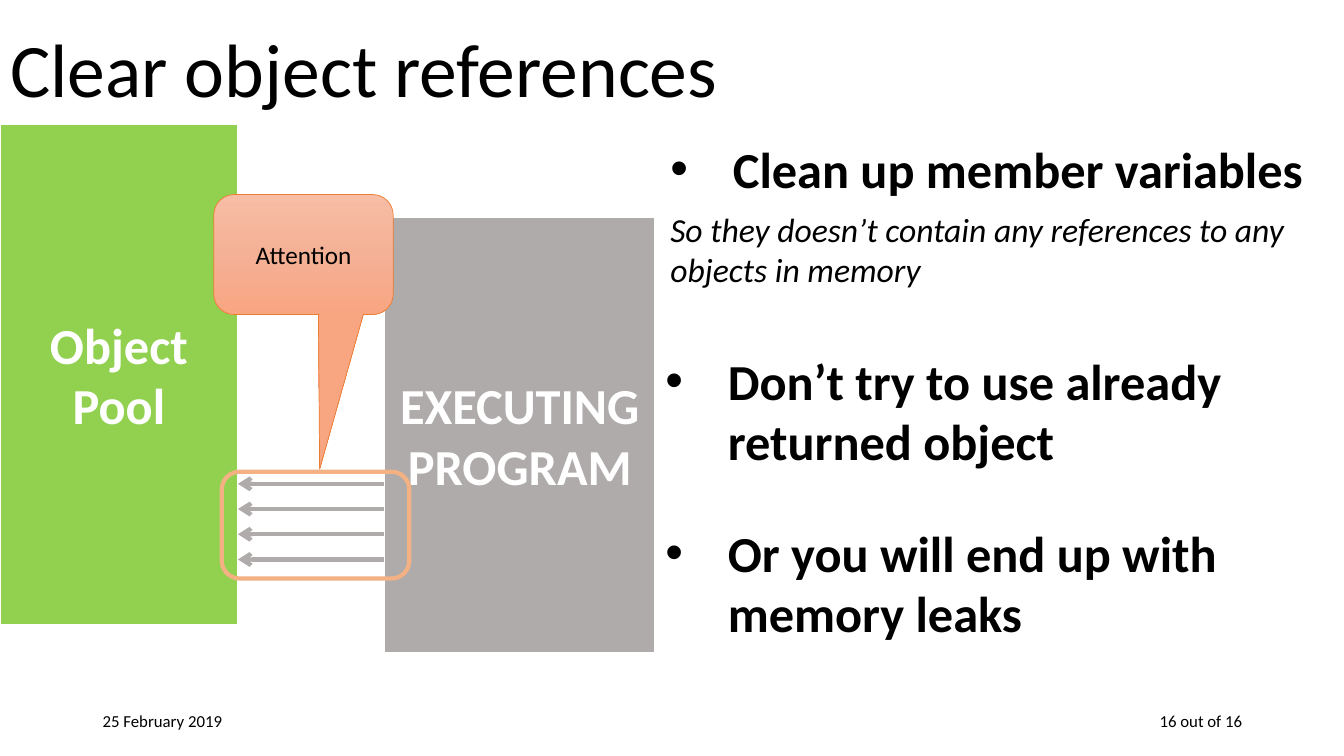
"""Build the slide on clearing object references in an object pool."""
from copy import deepcopy

from lxml import etree
from pptx import Presentation
from pptx.dml.color import RGBColor
from pptx.enum.shapes import MSO_CONNECTOR, MSO_SHAPE
from pptx.enum.text import MSO_ANCHOR, PP_ALIGN
from pptx.oxml.ns import qn
from pptx.util import Pt

PX = 9144
LEFT, CENTER, RIGHT = PP_ALIGN.LEFT, PP_ALIGN.CENTER, PP_ALIGN.RIGHT
TOP, MIDDLE = MSO_ANCHOR.TOP, MSO_ANCHOR.MIDDLE
RECTANGLE, ROUNDED = MSO_SHAPE.RECTANGLE, MSO_SHAPE.ROUNDED_RECTANGLE
CALLOUT = MSO_SHAPE.ROUNDED_RECTANGULAR_CALLOUT
STRAIGHT = MSO_CONNECTOR.STRAIGHT
FONT = "Calibri"
COLORS = {
    "black": "000000",
    "white": "FFFFFF",
    "pool": "92D050",
    "program": "AFABAB",
    "frame": "F4B183",
    "callout_line": "ED7D31",
    "callout_top": "F7BDA5",
    "callout_middle": "F5B196",
    "callout_bottom": "F8A582",
}
TEXT_LEFT, TEXT_WIDTH = 650, 678
BULLET_INDENT = 62


def px(*lengths):
    return [length * PX for length in lengths]


def rgb(name):
    return RGBColor.from_string(COLORS[name])


def write(shape, text, size, color="black", bold=False, italic=False, align=LEFT, anchor=MIDDLE):
    frame = shape.text_frame
    frame.text = text
    frame.word_wrap = True
    frame.vertical_anchor = anchor
    para = frame.paragraphs[0]
    para.alignment = align
    font = para.runs[0].font
    font.name, font.size = FONT, Pt(size)
    font.bold, font.italic = bold, italic
    font.color.rgb = rgb(color)
    return para


def add_title(page, text):
    title = page.shapes.title
    title.left, title.top, title.width, title.height = px(0, 0, 1150, 145)
    write(title, text, 54).line_spacing = 0.9


def add_text(page, area, text, size, **style):
    box = page.shapes.add_textbox(*px(*area))
    return write(box, text, size, **style)


def add_bullet(page, area, text):
    para = add_text(page, area, text, 36, bold=True, anchor=TOP)
    properties = para._p.get_or_add_pPr()
    properties.set("marL", str(BULLET_INDENT * PX))
    properties.set("indent", str(-BULLET_INDENT * PX))
    etree.SubElement(properties, qn("a:buFont")).set("typeface", "Arial")
    etree.SubElement(properties, qn("a:buChar")).set("char", "•")


def add_outlined(page, kind, area, line, width):
    shape = page.shapes.add_shape(kind, *px(*area))
    shape.shadow.inherit = False
    shape.fill.background()
    shape.line.color.rgb = rgb(line)
    shape.line.width = Pt(width)
    return shape


def add_block(page, area, text, fill):
    block = add_outlined(page, RECTANGLE, area, "white", 1.5)
    block.fill.solid()
    block.fill.fore_color.rgb = rgb(fill)
    write(block, text, 36, color="white", bold=True, align=CENTER)


def add_return_arrow(page, start, end, y):
    arrow = page.shapes.add_connector(STRAIGHT, *px(start, y, end, y))
    arrow.line.color.rgb = rgb("program")
    arrow.line.width = Pt(3)
    etree.SubElement(arrow.line._get_or_add_ln(), qn("a:tailEnd")).set("type", "arrow")
    etree.SubElement(arrow._element.spPr, qn("a:effectLst"))


def add_callout(page, area, text):
    callout = add_outlined(page, CALLOUT, area, "callout_line", 0.5)
    for index, value in enumerate((0.09, 1.79, 0.17)):
        callout.adjustments[index] = value
    callout.fill.gradient()
    callout.fill.gradient_angle = 270
    stop_list = callout._element.spPr.find(".//" + qn("a:gsLst"))
    stop_list.insert(1, deepcopy(stop_list[0]))
    for index, part in enumerate(("top", "middle", "bottom")):
        stop = callout.fill.gradient_stops[index]
        stop.position = index / 2
        stop.color.rgb = rgb("callout_" + part)
    write(callout, text, 18, align=CENTER)


def main():
    deck = Presentation()
    deck.slide_width, deck.slide_height = px(1333, 750)
    page = deck.slides.add_slide(deck.slide_layouts[5])

    add_title(page, "Clear object references")
    add_text(page, (92, 695, 300, 40), "25 February 2019", 12)
    add_text(page, (942, 695, 300, 40), "16 out of 16", 12, align=RIGHT)

    add_block(page, (0, 123, 236, 497), "Object Pool", "pool")
    add_block(page, (381, 215, 269, 433), "EXECUTING PROGRAM", "program")
    for row in range(4):
        add_return_arrow(page, 381, 236, 480 + 25 * row)
    add_outlined(page, ROUNDED, (220, 468, 186, 106), "frame", 3)
    add_callout(page, (212, 193, 178, 119), "Attention")

    add_bullet(page, (TEXT_LEFT + 5, 132, TEXT_WIDTH, 71), "Clean up member variables")
    add_text(page, (TEXT_LEFT + 5, 202, TEXT_WIDTH, 91),
             "So they doesn’t contain any references to any objects in memory",
             24, italic=True, anchor=TOP)
    add_bullet(page, (TEXT_LEFT, 342, TEXT_WIDTH, 131), "Don’t try to use already returned object")
    add_bullet(page, (TEXT_LEFT, 513, TEXT_WIDTH, 131), "Or you will end up with memory leaks")

    deck.save("out.pptx")


if __name__ == "__main__":
    main()
